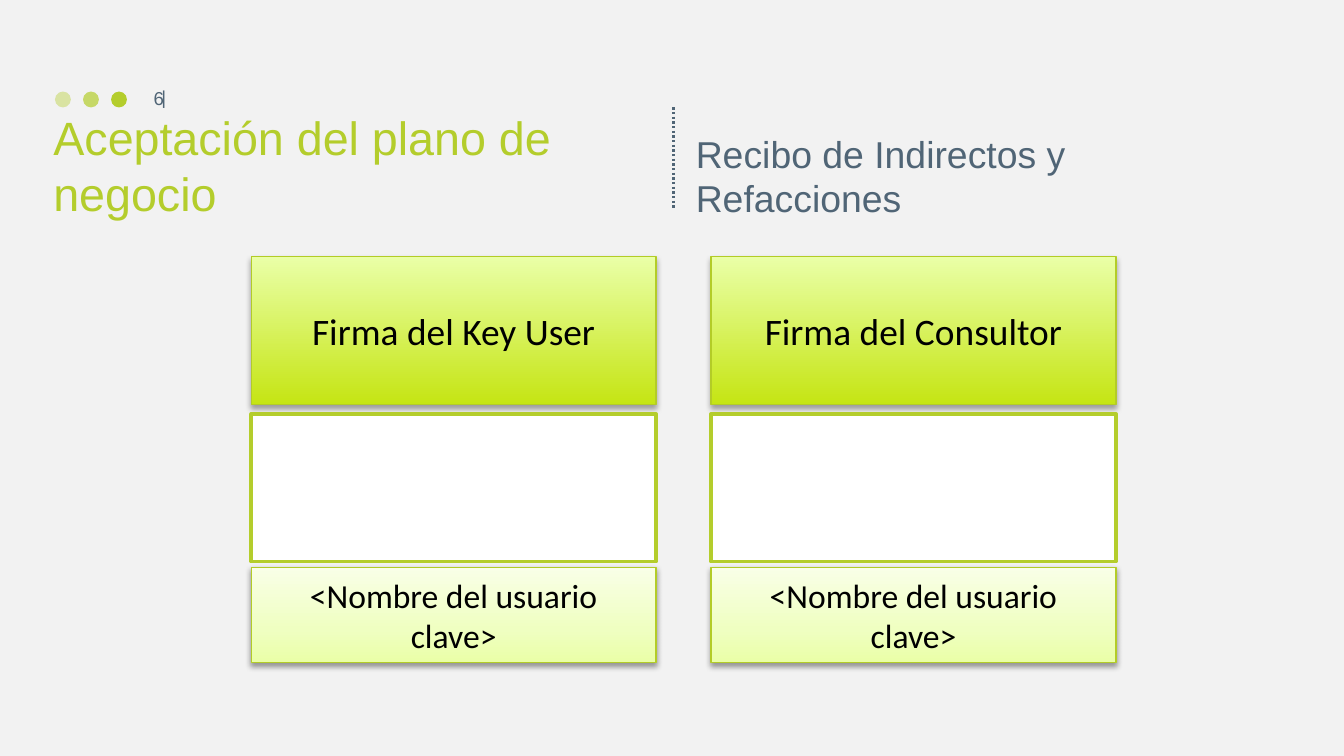
from dataclasses import dataclass

import pptx
import pptx.dml.color
import pptx.enum.dml
import pptx.enum.shapes
import pptx.enum.text
import pptx.oxml
import pptx.oxml.ns
import pptx.util
from pptx.util import Cm, Pt

KIND = pptx.enum.shapes.MSO_SHAPE
ALIGN = pptx.enum.text.PP_ALIGN
ANCHOR = pptx.enum.text.MSO_ANCHOR
NS = pptx.oxml.ns.nsdecls("a")


@dataclass(frozen=True)
class Theme:
    back: str = "F2F2F2"
    green: str = "B4CD2C"
    edge: str = "B3CC27"
    slate: str = "506576"
    white: str = "FFFFFF"
    black: str = "000000"
    strong: tuple = ((0, "C5E514"), (100, "EAFFA7"))
    soft: tuple = ((0, "EAFFA7"), (35, "EFFFC1"), (100, "F9FFE7"))
    head: str = "Arial"
    body: str = "Calibri"
    title: float = 25
    large: float = 20
    name: float = 18
    small: float = 10


@dataclass(frozen=True)
class Box:
    """A frame in centimetres."""
    left: float
    top: float
    width: float
    height: float

    def frame(self) -> tuple:
        return Cm(self.left), Cm(self.top), Cm(self.width), Cm(self.height)


@dataclass(frozen=True)
class Font:
    face: str
    size: float
    color: str


@dataclass(frozen=True)
class Shade:
    alpha: int
    drop: float


THEME = Theme()


def rgb(code: str):
    return pptx.dml.color.RGBColor.from_string(code)


def write(shape, text: str, font: Font, align=ALIGN.LEFT, anchor=ANCHOR.MIDDLE):
    frame = shape.text_frame
    frame.word_wrap = True
    frame.vertical_anchor = anchor
    frame.text = text
    para = frame.paragraphs[0]
    para.alignment = align
    for run in para.runs:
        run.font.name = font.face
        run.font.size = Pt(font.size)
        run.font.color.rgb = rgb(font.color)
    return frame


def label(slide, box: Box, text: str, font: Font, align=ALIGN.LEFT, anchor=ANCHOR.BOTTOM):
    return write(slide.shapes.add_textbox(*box.frame()), text, font, align, anchor)


def panel(slide, box: Box, edge: str, weight: float):
    shape = slide.shapes.add_shape(KIND.RECTANGLE, *box.frame())
    shape.shadow.inherit = False
    shape.fill.solid()
    shape.fill.fore_color.rgb = rgb(THEME.white)
    shape.line.color.rgb = rgb(edge)
    shape.line.width = Pt(weight)
    return shape


def card(slide, box: Box, text: str, size: float, stops: tuple, shade: Shade) -> None:
    """Draw a captioned panel with an upward gradient and a soft shadow."""
    shape = panel(slide, box, THEME.edge, 0.75)
    props = shape.element.spPr
    marks = "".join(
        f'<a:gs pos="{pos * 1000}"><a:srgbClr val="{code}"/></a:gs>' for pos, code in stops
    )
    grad = pptx.oxml.parse_xml(
        f'<a:gradFill {NS} rotWithShape="1"><a:gsLst>{marks}</a:gsLst>'
        '<a:lin ang="16200000" scaled="0"/></a:gradFill>'
    )
    props.replace(props.find(pptx.oxml.ns.qn("a:solidFill")), grad)
    glow = pptx.oxml.parse_xml(
        f'<a:outerShdw {NS} blurRad="{Pt(3.1)}" dist="{Pt(shade.drop)}" dir="5400000" '
        f'rotWithShape="0"><a:srgbClr val="{THEME.black}">'
        f'<a:alpha val="{shade.alpha * 1000}"/></a:srgbClr></a:outerShdw>'
    )
    props.find(pptx.oxml.ns.qn("a:effectLst")).append(glow)
    write(shape, text, Font(THEME.body, size, THEME.black), ALIGN.CENTER)


def dot(slide, left: float, alpha: int) -> None:
    shape = slide.shapes.add_shape(KIND.OVAL, *Box(left, 1.73, 0.3, 0.3).frame())
    shape.shadow.inherit = False
    shape.fill.solid()
    shape.fill.fore_color.rgb = rgb(THEME.green)
    shape.line.fill.background()
    if alpha < 100:
        tint = shape.element.spPr.find(".//" + pptx.oxml.ns.qn("a:srgbClr"))
        tint.append(pptx.oxml.parse_xml(f'<a:alpha {NS} val="{alpha * 1000}"/>'))


def rule(slide, left: float, top: float, end: float) -> None:
    """Draw the dotted upright divider."""
    line = slide.shapes.add_connector(
        pptx.enum.shapes.MSO_CONNECTOR.STRAIGHT, Cm(left), Cm(top), Cm(left), Cm(end)
    )
    line.line.color.rgb = rgb(THEME.slate)
    line.line.width = Pt(1.25)
    line.line.dash_style = pptx.enum.dml.MSO_LINE.ROUND_DOT
    line.element.spPr.append(pptx.oxml.parse_xml(f"<a:effectLst {NS}/>"))


def header(slide) -> None:
    for step, alpha in enumerate((40, 70, 100)):
        dot(slide, 1.04 + 0.53 * step, alpha)
    rule(slide, 12.73, 2.03, 3.94)

    small = Font(THEME.head, THEME.small, THEME.slate)
    bar = label(slide, Box(3.05, 1.68, 0.15, 0.38), "|", small, anchor=ANCHOR.TOP)
    bar.word_wrap = False
    bar.auto_size = pptx.enum.text.MSO_AUTO_SIZE.SHAPE_TO_FIT_TEXT
    bar.margin_bottom = 0
    bar.paragraphs[0].line_spacing = 0.5
    label(slide, Box(2.18, 1.47, 1.17, 0.76), "6", small, ALIGN.RIGHT, ANCHOR.MIDDLE)

    label(slide, Box(0.76, 1.9, 11.66, 2.39), "Aceptación del plano de negocio",
          Font(THEME.head, THEME.title, THEME.green))
    label(slide, Box(12.9, 1.9, 11.23, 2.39), "Recibo de Indirectos y Refacciones",
          Font(THEME.head, THEME.large, THEME.slate))


def column(slide, left: float, role: str) -> None:
    """Stack the role, the space to sign and the name."""
    width, tall = 7.65, 2.79
    card(slide, Box(left, 4.85, width, tall), role, THEME.large, THEME.strong, Shade(35, 1.8))
    panel(slide, Box(left, 7.82, width, tall), THEME.green, 2)
    card(slide, Box(left, 10.72, width, 1.8), "<Nombre del usuario clave>",
         THEME.name, THEME.soft, Shade(38, 1.6))


def main() -> None:
    deck = pptx.Presentation()
    deck.slide_width, deck.slide_height = Cm(25.4), Cm(14.28)
    slide = deck.slides.add_slide(deck.slide_layouts[6])
    slide.background.fill.solid()
    slide.background.fill.fore_color.rgb = rgb(THEME.back)
    header(slide)
    for spot, role in enumerate(("Firma del Key User", "Firma del Consultor")):
        column(slide, 4.75 + 8.69 * spot, role)
    deck.save("out.pptx")


if __name__ == "__main__":
    main()
